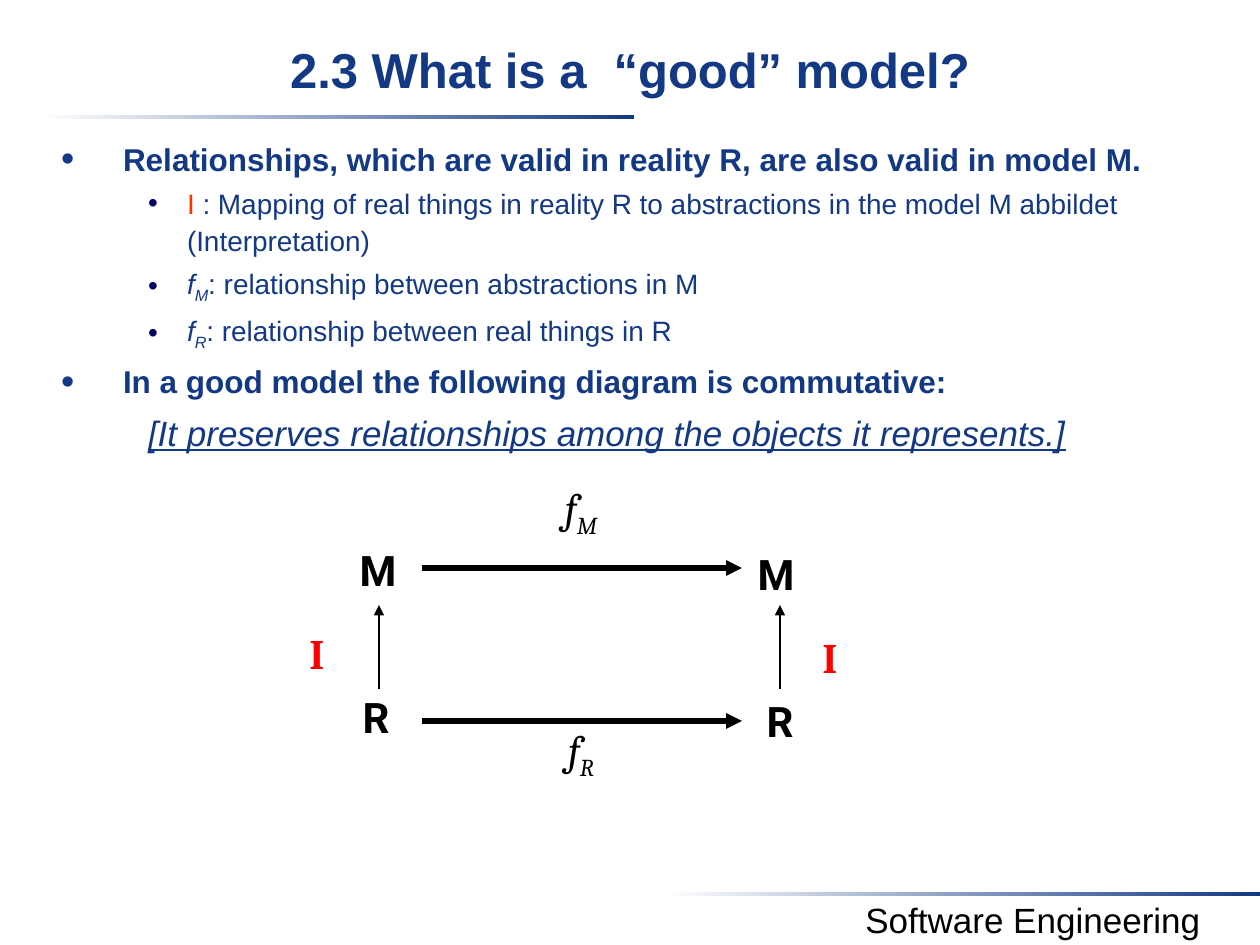
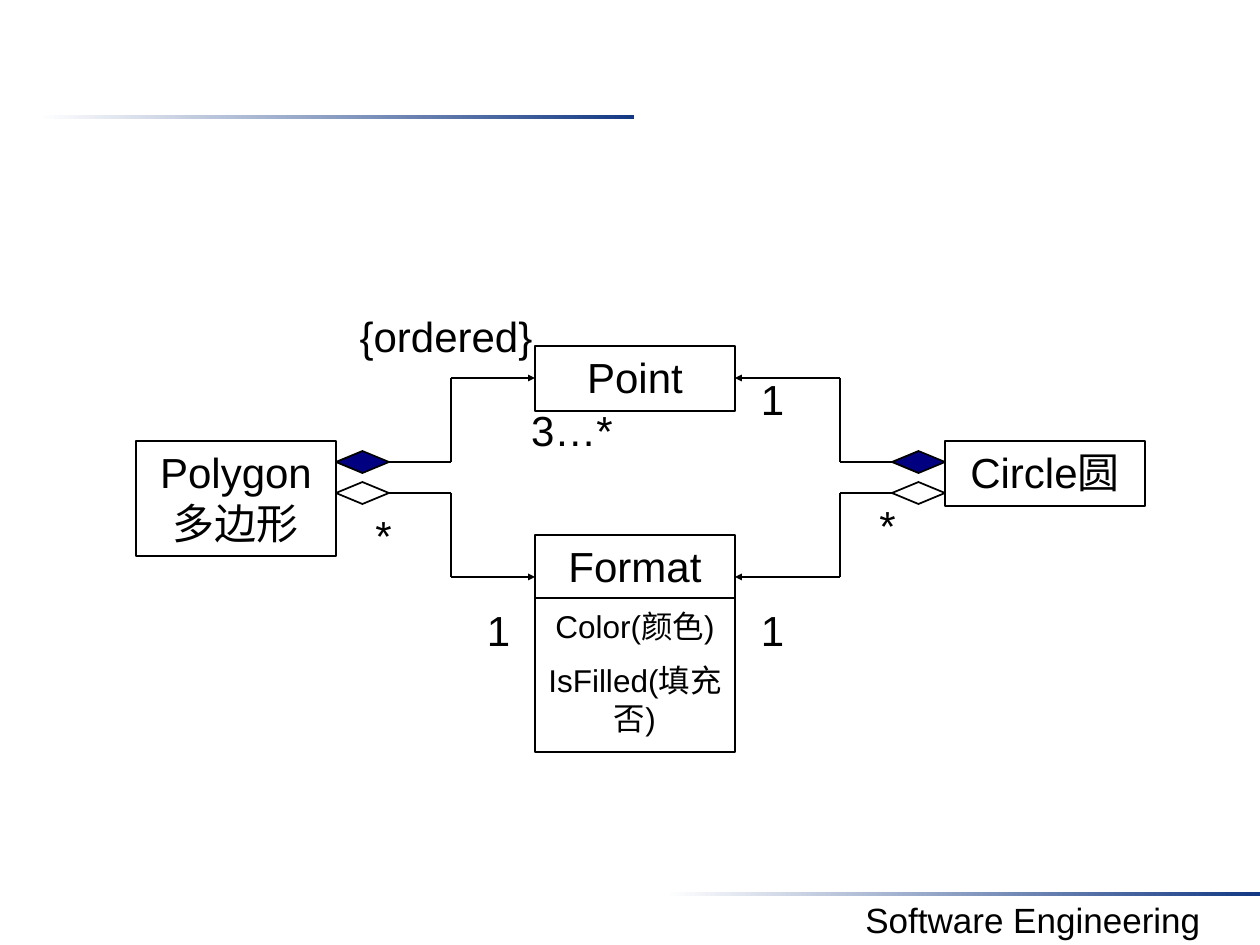
from dataclasses import dataclass

from lxml import etree
from pptx import Presentation
from pptx.dml.color import RGBColor
from pptx.enum.shapes import MSO_CONNECTOR, MSO_SHAPE
from pptx.enum.text import MSO_ANCHOR, MSO_AUTO_SIZE, PP_ALIGN
from pptx.oxml.ns import qn
from pptx.util import Emu, Pt

PX_PER_INCH = 126
RECTANGLE = MSO_SHAPE.RECTANGLE
DIAMOND = MSO_SHAPE.FLOWCHART_DECISION
STRAIGHT = MSO_CONNECTOR.STRAIGHT
TOP, MIDDLE = MSO_ANCHOR.TOP, MSO_ANCHOR.MIDDLE
LEFT, CENTER = PP_ALIGN.LEFT, PP_ALIGN.CENTER
NO_AUTOFIT = MSO_AUTO_SIZE.NONE

NAVY, WHITE, BLACK = "133984", "FFFFFF", "000000"
COMPOSITION, BULLET = "000080", "000066"
ORANGE, RED = "FF3300", "FF0000"
BODY_FONT, MATH_FONT, NODE_FONT = "Arial", "Cambria", "Roboto"
TITLE_ONLY, BLANK = 5, 6


@dataclass
class Span:
    text: str
    color: str = NAVY
    italic: bool = False
    baseline: int = 0


@dataclass
class Point:
    spans: list[Span]
    level: int = 0
    size: int = 16
    bold: bool = False
    underline: bool = False
    bullet: bool = True


@dataclass
class Label:
    text: str
    x: int
    y: int
    width: int
    font: str = BODY_FONT
    color: str = BLACK
    bold: bool = False
    subscript: str = ""
    anchor: int = TOP


@dataclass
class ClassBox:
    name: str
    x: int
    y: int
    height: int
    attributes: tuple[str, ...] = ()


@dataclass
class Association:
    diamond_x: int
    start_x: int
    bend_x: int
    target_x: int
    y: int
    target_y: int
    fill: str | None = None


def px(length):
    return Emu(round(length * 914400 / PX_PER_INCH))


def rgb(value):
    return RGBColor.from_string(value)


def write(paragraph, text, *, size=24, font=BODY_FONT, color=BLACK, bold=False,
          italic=False, underline=False, baseline=0):
    run = paragraph.add_run()
    run.text = text
    style = run.font
    style.size, style.name = Pt(size), font
    style.bold, style.italic, style.underline = bold, italic, underline
    style.color.rgb = rgb(color)
    if baseline:
        run._r.get_or_add_rPr().set("baseline", str(baseline * 1000))


def set_frame(shape, anchor=TOP, align=CENTER, side=12):
    frame = shape.text_frame
    frame.word_wrap = True
    frame.auto_size = NO_AUTOFIT
    frame.vertical_anchor = anchor
    frame.margin_left = frame.margin_right = px(side)
    frame.margin_top = frame.margin_bottom = px(6)
    frame.paragraphs[0].alignment = align
    return frame


def add_text_area(slide, x, y, width, height, **layout):
    area = slide.shapes.add_textbox(px(x), px(y), px(width), px(height))
    return set_frame(area, **layout)


def add_outline(slide, kind, x, y, width, height, fill=None):
    shape = slide.shapes.add_shape(kind, px(x), px(y), px(width), px(height))
    shape.shadow.inherit = False
    if fill:
        shape.fill.solid()
        shape.fill.fore_color.rgb = rgb(fill)
    else:
        shape.fill.background()
    shape.line.color.rgb = rgb(BLACK)
    shape.line.width = Pt(1)
    return shape


def add_line(slide, start, end, weight=1, arrow=None):
    line = slide.shapes.add_connector(STRAIGHT, *map(px, (*start, *end)))
    line.line.color.rgb = rgb(BLACK)
    line.line.width = Pt(weight)
    if arrow:
        etree.SubElement(line.line._get_or_add_ln(), qn("a:tailEnd"),
                         type="triangle", w=arrow, len=arrow)
    etree.SubElement(line._element.spPr, qn("a:effectLst"))


def add_band(slide, x, y):
    band = slide.shapes.add_shape(RECTANGLE, px(x), px(y), px(595), px(4))
    band.shadow.inherit = False
    band.line.fill.background()
    band.fill.gradient()
    band.fill.gradient_angle = 0
    for stop, color, position in zip(band.fill.gradient_stops, (WHITE, NAVY), (0, 1)):
        stop.color.rgb = rgb(color)
        stop.position = position


def add_slide(deck, layout):
    slide = deck.slides.add_slide(deck.slide_layouts[layout])
    add_band(slide, 39, 115)
    add_band(slide, 665, 892)
    footer = add_text_area(slide, 806, 892, 454, 55)
    write(footer.paragraphs[0], "Software Engineering", size=20)
    return slide


def add_title(slide, text):
    title = slide.shapes.title
    title.left, title.top, title.width, title.height = map(px, (0, 25, 1260, 95))
    frame = set_frame(title)
    frame.margin_top = px(14)
    write(frame.paragraphs[0], text, size=28, color=NAVY, bold=True)


def add_bullet(paragraph, level):
    props = paragraph._p.get_or_add_pPr()
    if level:
        tint = etree.SubElement(props, qn("a:buClr"))
        etree.SubElement(tint, qn("a:srgbClr"), val=BULLET)
    else:
        etree.SubElement(props, qn("a:buSzPct"), val="120000")
    etree.SubElement(props, qn("a:buFont"), typeface=BODY_FONT)
    etree.SubElement(props, qn("a:buChar"), char="•")


def add_points(slide, points):
    frame = add_text_area(slide, 49, 130, 1138, 678, align=LEFT)
    for index, point in enumerate(points):
        paragraph = frame.add_paragraph() if index else frame.paragraphs[0]
        paragraph.level = point.level
        paragraph.line_spacing = 1.1
        paragraph.space_before = Pt(point.size * 0.2)
        margin, indent = ((62, -62), (126, -39))[point.level]
        props = paragraph._p.get_or_add_pPr()
        props.set("marL", str(px(margin)))
        props.set("indent", str(px(indent)))
        if point.bullet:
            add_bullet(paragraph, point.level)
        for span in point.spans:
            write(paragraph, span.text, size=point.size, color=span.color,
                  bold=point.bold, italic=span.italic,
                  underline=point.underline, baseline=span.baseline)


def add_label(slide, label):
    frame = add_text_area(slide, label.x, label.y, label.width, 63, anchor=label.anchor)
    italic = bool(label.subscript)
    style = dict(font=label.font, color=label.color, bold=label.bold, italic=italic)
    write(frame.paragraphs[0], label.text, **style)
    if label.subscript:
        write(frame.paragraphs[0], label.subscript, baseline=-25, **style)


def add_class(slide, box):
    shape = add_outline(slide, RECTANGLE, box.x, box.y, 200, box.height)
    frame = set_frame(shape)
    write(frame.paragraphs[0], box.name)
    for attribute in box.attributes:
        paragraph = frame.add_paragraph()
        paragraph.alignment = CENTER
        paragraph.space_before = Pt(9)
        write(paragraph, attribute, size=18)


def add_association(slide, link):
    add_outline(slide, DIAMOND, link.diamond_x, link.y - 11, 53, 22, link.fill)
    corners = [(link.start_x, link.y), (link.bend_x, link.y),
               (link.bend_x, link.target_y), (link.target_x, link.target_y)]
    for start, end in zip(corners, corners[1:]):
        add_line(slide, start, end, arrow="sm" if end == corners[-1] else None)


def build_good_model(deck):
    slide = add_slide(deck, TITLE_ONLY)
    add_title(slide, "2.3 What is a  “good” model?")

    def relationship(subscript, meaning):
        return Point([Span("f", italic=True), Span(subscript, italic=True, baseline=-25),
                      Span(f": relationship between {meaning}")], level=1)

    add_points(slide, [
        Point([Span("Relationships, which are valid in reality R, "
                    "are also valid in model M.")], size=18, bold=True),
        Point([Span("I ", ORANGE),
               Span(": Mapping of real things in reality R to abstractions "
                    "in the model M abbildet (Interpretation)")], level=1),
        relationship("M", "abstractions in M"),
        relationship("R", "real things in R"),
        Point([Span("In a good model the following diagram is commutative:")],
              size=18, bold=True),
        Point([Span("[It preserves relationships among the objects it represents.]",
                    italic=True)], level=1, size=20, underline=True, bullet=False),
    ])

    for subscript, y in (("M", 479), ("R", 721)):
        add_label(slide, Label("f", 527, y, 108, MATH_FONT, subscript=subscript,
                               anchor=MIDDLE))
    for node, x, y in (("M", 286, 538), ("M", 684, 542), ("R", 284, 685), ("R", 688, 689)):
        add_label(slide, Label(node, x, y, 184, NODE_FONT, bold=True, anchor=MIDDLE))
    for x, y in ((296, 621), (809, 625)):
        add_label(slide, Label("I", x, y, 42, MATH_FONT, RED, True, anchor=MIDDLE))
    for y in (568, 721):
        add_line(slide, (422, y), (742, y), weight=3, arrow="med")
    for x in (379, 780):
        add_line(slide, (x, 689), (x, 605), arrow="med")


def build_class_diagram(deck):
    slide = add_slide(deck, BLANK)
    for box in (
        ClassBox("Polygon多边形", 136, 441, 115),
        ClassBox("Point", 535, 346, 65),
        ClassBox("Circle圆", 945, 441, 65),
        ClassBox("Format", 535, 535, 217, ("Color(颜色)", "IsFilled(填充否)")),
    ):
        add_class(slide, box)
    add_line(slide, (535, 598), (735, 598))

    for y, target_y, fill in ((462, 378, COMPOSITION), (493, 577, None)):
        add_association(slide, Association(336, 389, 451, 535, y, target_y, fill))
        add_association(slide, Association(892, 892, 840, 735, y, target_y, fill))

    for label in (
        Label("1", 472, 599, 53),
        Label("*", 357, 504, 53),
        Label("1", 746, 599, 53),
        Label("*", 861, 494, 53),
        Label("1", 746, 368, 53),
        Label("3…*", 451, 399, 242),
        Label("{ordered}", 325, 305, 242),
    ):
        add_label(slide, label)


def main():
    deck = Presentation()
    deck.slide_width, deck.slide_height = px(1260), px(945)
    build_good_model(deck)
    build_class_diagram(deck)
    deck.save("out.pptx")


if __name__ == "__main__":
    main()
